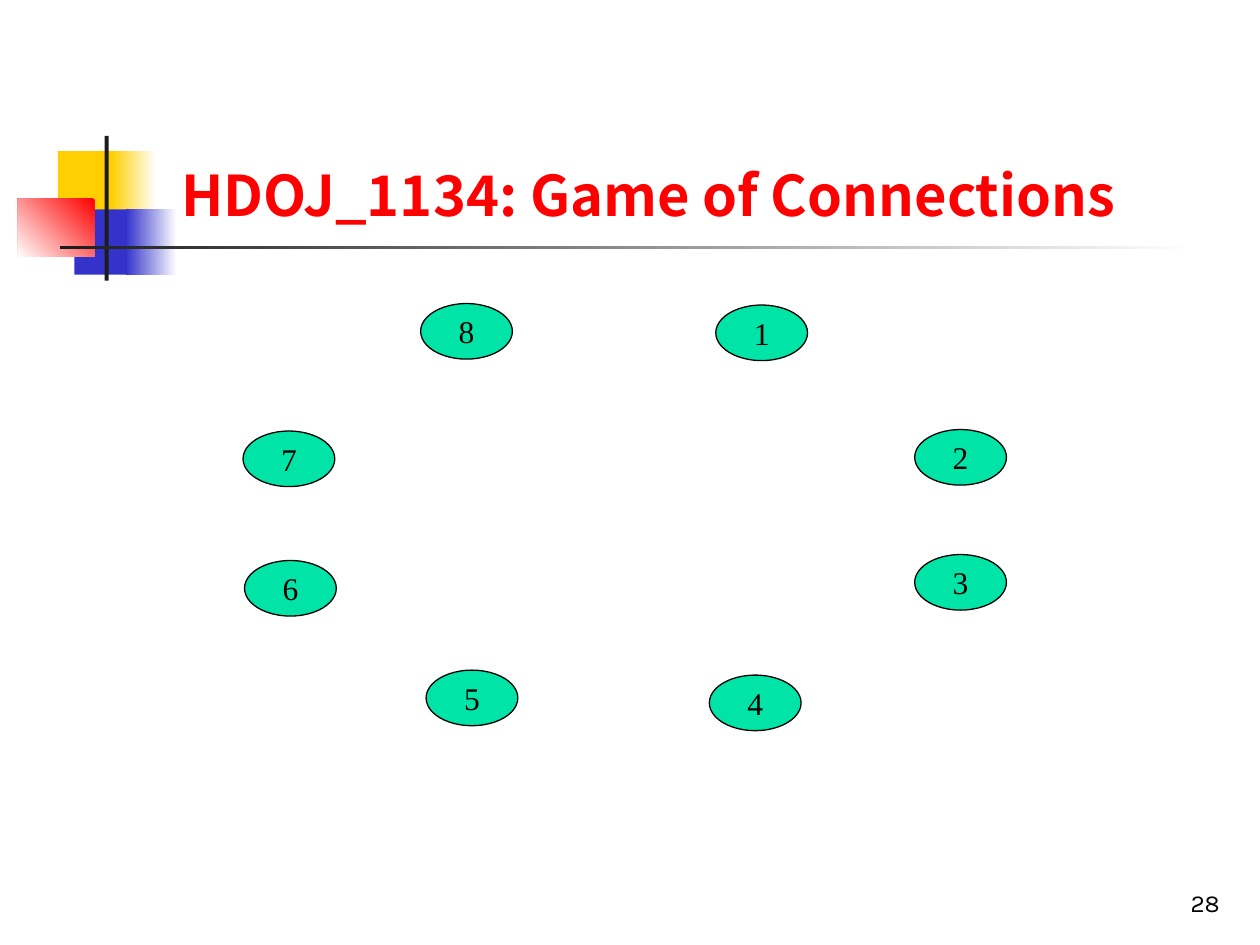
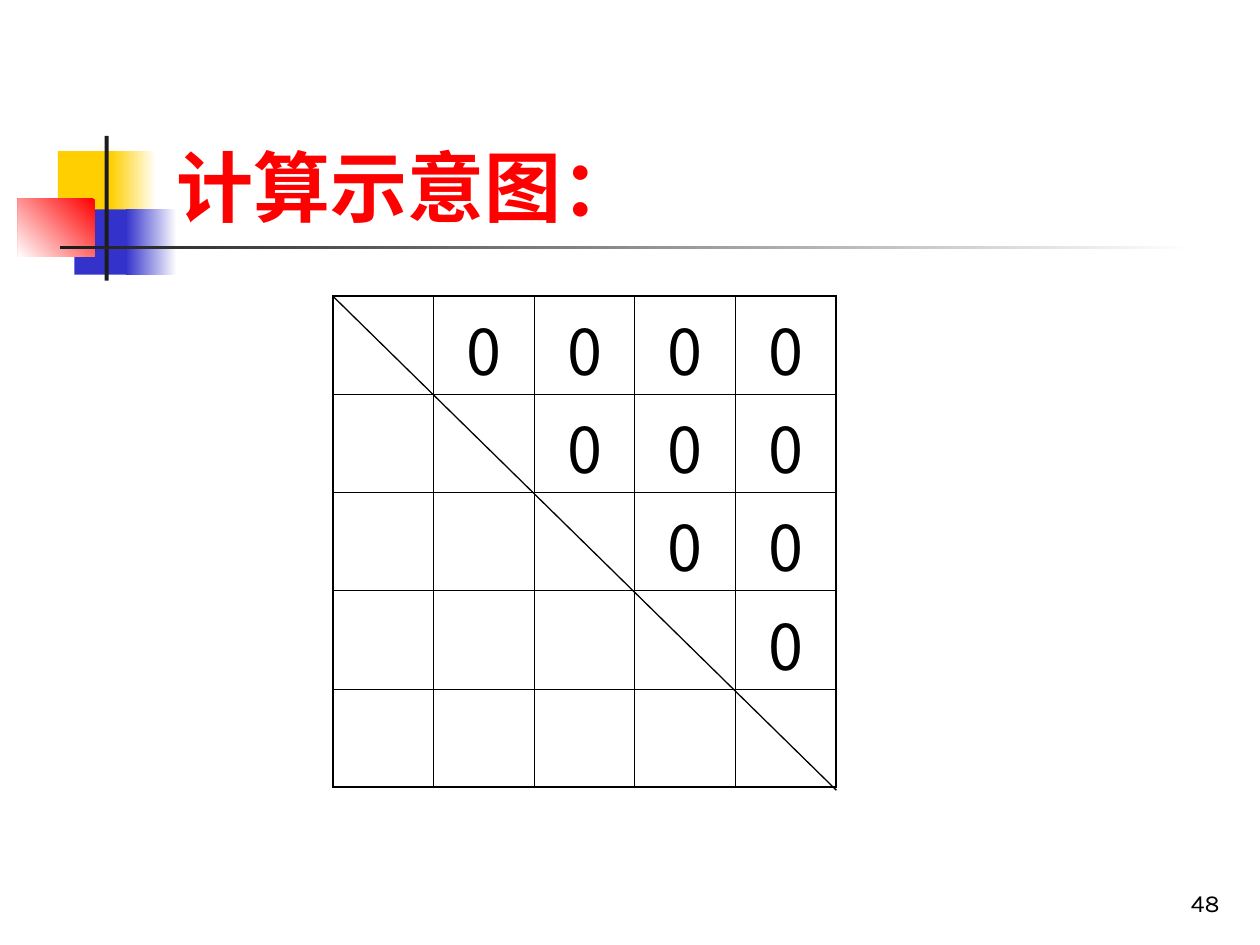
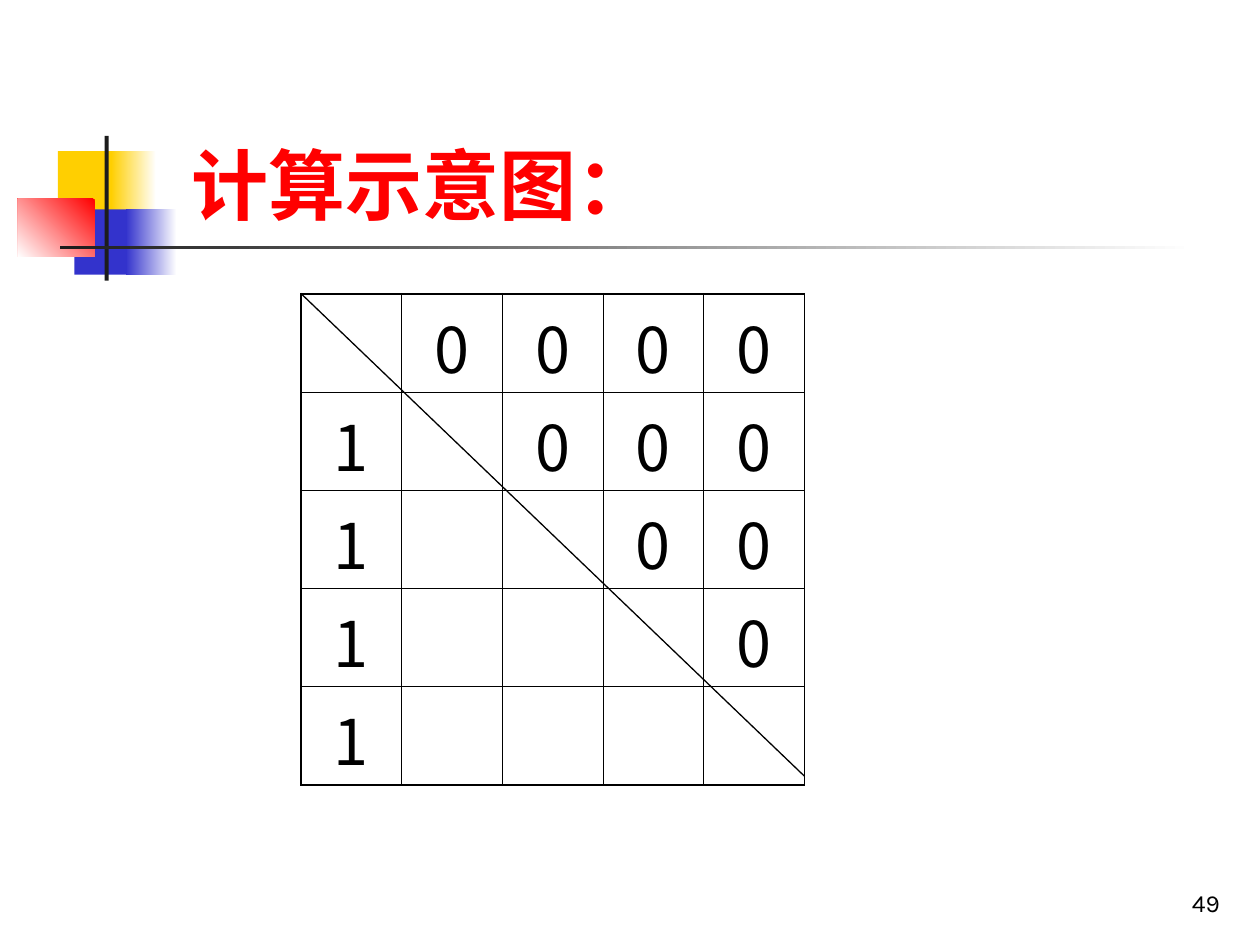
from lxml import etree
from pptx import Presentation
from pptx import util as u
from pptx.dml.color import RGBColor
from pptx.enum import shapes, text
from pptx.oxml import ns

Cm, Pt = u.Cm, u.Pt
BLACK = RGBColor(0, 0, 0)
WHITE = RGBColor(255, 255, 255)
RED = RGBColor(255, 0, 0)
GOLD = RGBColor(0xFF, 0xCF, 0x01)
BLUE = RGBColor(0x33, 0x33, 0xCC)
COAL = RGBColor(0x1C, 0x1C, 0x1C)
MINT = RGBColor(0x00, 0xE4, 0xA8)
SANS, CJK, SERIF = "Karla", "Noto Sans CJK KR", "Times New Roman"

MOTIF = [
    (1.17, 3.05, 1.22, 1.32, [GOLD], 0),
    (2.24, 3.05, 0.91, 1.32, [WHITE, GOLD], 180),
    (1.5, 4.22, 1.17, 1.32, [BLUE], 0),
    (2.54, 4.22, 1.02, 1.32, [WHITE, BLUE], 180),
    (0.36, 4.01, 1.55, 1.17, [RED, WHITE], 225),
    (2.11, 2.74, 0.08, 2.92, [COAL], 0),
    (1.22, 4.95, 22.86, 0.08, [WHITE, COAL], 180),
]
NODES = [
    (14.43, 6.15), (18.44, 8.66), (18.44, 11.18), (14.3, 13.61),
    (8.59, 13.51), (4.93, 11.3), (4.9, 8.69), (8.48, 6.12),
]
SIZE, CELL_W, CELL_H = 5, 2.03, 1.98
THIN, THICK = Pt(0.45), Pt(1.08)


def style(para, words, face, size, color, align=None, bold=False):
    """Fill a paragraph and set its font."""
    para.text = words
    para.alignment = align
    font = para.font
    font.name, font.size, font.bold = face, Pt(size), bold
    font.color.rgb = color


def block(slide, x, y, w, h, colors, angle):
    """Draw a plain or graded rectangle."""
    box = slide.shapes.add_shape(
        shapes.MSO_SHAPE.RECTANGLE, Cm(x), Cm(y), Cm(w), Cm(h))
    box.shadow.inherit = False
    box.line.fill.background()
    if len(colors) == 1:
        box.fill.solid()
        box.fill.fore_color.rgb = colors[0]
        return
    box.fill.gradient()
    box.fill.gradient_angle = angle
    for stop, color in zip(box.fill.gradient_stops, colors):
        stop.color.rgb = color


def label(slide, x, y, w, h, words, *look, foot=0.13, **more):
    """Add a text box that stands on its lower edge."""
    frame = slide.shapes.add_textbox(Cm(x), Cm(y), Cm(w), Cm(h)).text_frame
    frame.word_wrap = True
    frame.vertical_anchor = text.MSO_ANCHOR.BOTTOM
    frame.margin_bottom = Cm(foot)
    style(frame.paragraphs[0], words, *look, **more)


def page(deck, number):
    """Add a slide with the motif and page number."""
    slide = deck.slides.add_slide(deck.slide_layouts[6])
    for part in MOTIF:
        block(slide, *part)
    label(slide, 19.56, 17.35, 5.28, 1.27, str(number), SANS, 14, BLACK,
          align=text.PP_ALIGN.RIGHT)
    return slide


def node(slide, x, y, name):
    """Draw one numbered oval."""
    oval = slide.shapes.add_shape(
        shapes.MSO_SHAPE.OVAL, Cm(x), Cm(y), Cm(1.85), Cm(1.12))
    oval.shadow.inherit = False
    oval.fill.solid()
    oval.fill.fore_color.rgb = MINT
    oval.line.color.rgb = BLACK
    oval.line.width = Pt(0.75)
    frame = oval.text_frame
    frame.word_wrap = False
    frame.vertical_anchor = text.MSO_ANCHOR.MIDDLE
    style(frame.paragraphs[0], name, SERIF, 18, BLACK,
          align=text.PP_ALIGN.CENTER)


def edge(cell, side, width):
    """Rule one side of a cell."""
    props = cell._tc.get_or_add_tcPr()
    line = etree.SubElement(props, ns.qn(f"a:ln{side}"), w=str(int(width)))
    fill = etree.SubElement(line, ns.qn("a:solidFill"))
    etree.SubElement(fill, ns.qn("a:srgbClr"), val=str(BLACK))


def grid(slide, x, y, low):
    """Add a square table with zeros above the diagonal."""
    table = slide.shapes.add_table(
        SIZE, SIZE, Cm(x), Cm(y), Cm(SIZE * CELL_W), Cm(SIZE * CELL_H)).table
    table.first_row = table.horz_banding = False
    for col in table.columns:
        col.width = Cm(CELL_W)
    last = SIZE - 1
    for i in range(SIZE):
        for j in range(SIZE):
            cell = table.cell(i, j)
            rims = {"L": j == 0, "R": j == last, "T": i == 0, "B": i == last}
            for side, rim in rims.items():
                edge(cell, side, THICK if rim else THIN)
            cell.fill.background()
            mark = "0" if j > i else low if j == 0 and i > 0 else ""
            if mark:
                style(cell.text_frame.paragraphs[0], mark, CJK, 36, BLACK,
                      align=text.PP_ALIGN.CENTER)


def slash(slide, x, y, drop):
    """Draw the diagonal across a table."""
    line = slide.shapes.add_connector(
        shapes.MSO_CONNECTOR.STRAIGHT, Cm(x), Cm(y),
        Cm(x + SIZE * CELL_W), Cm(y + drop))
    line.line.color.rgb = BLACK
    line.line.width = Pt(0.75)
    etree.SubElement(line._element.spPr, ns.qn("a:effectLst"))


def matrix(deck, number, head, x, y, drop, low=""):
    """Build a slide with a titled matrix."""
    slide = page(deck, number)
    label(slide, *head, "计算示意图：", SANS, 44, RED, bold=True)
    grid(slide, x, y, low)
    slash(slide, x, y, drop)


def main():
    """Build and save the deck."""
    deck = Presentation()
    deck.slide_width, deck.slide_height = Cm(25.4), Cm(19.05)
    ring = page(deck, 28)
    label(ring, 3.4, 2.13, 20.09, 2.79, "HDOJ_1134: Game of Connections",
          CJK, 32, RED, bold=True, foot=0.33)
    for name, (x, y) in enumerate(NODES, 1):
        node(ring, x, y, str(name))
    matrix(deck, 48, (3.3, 2.31, 12.5, 2.49), 6.71, 5.97, 9.96)
    matrix(deck, 49, (3.61, 2.51, 9.86, 2.26), 6.07, 5.92, 9.73, low="1")
    deck.save("out.pptx")


if __name__ == "__main__":
    main()
